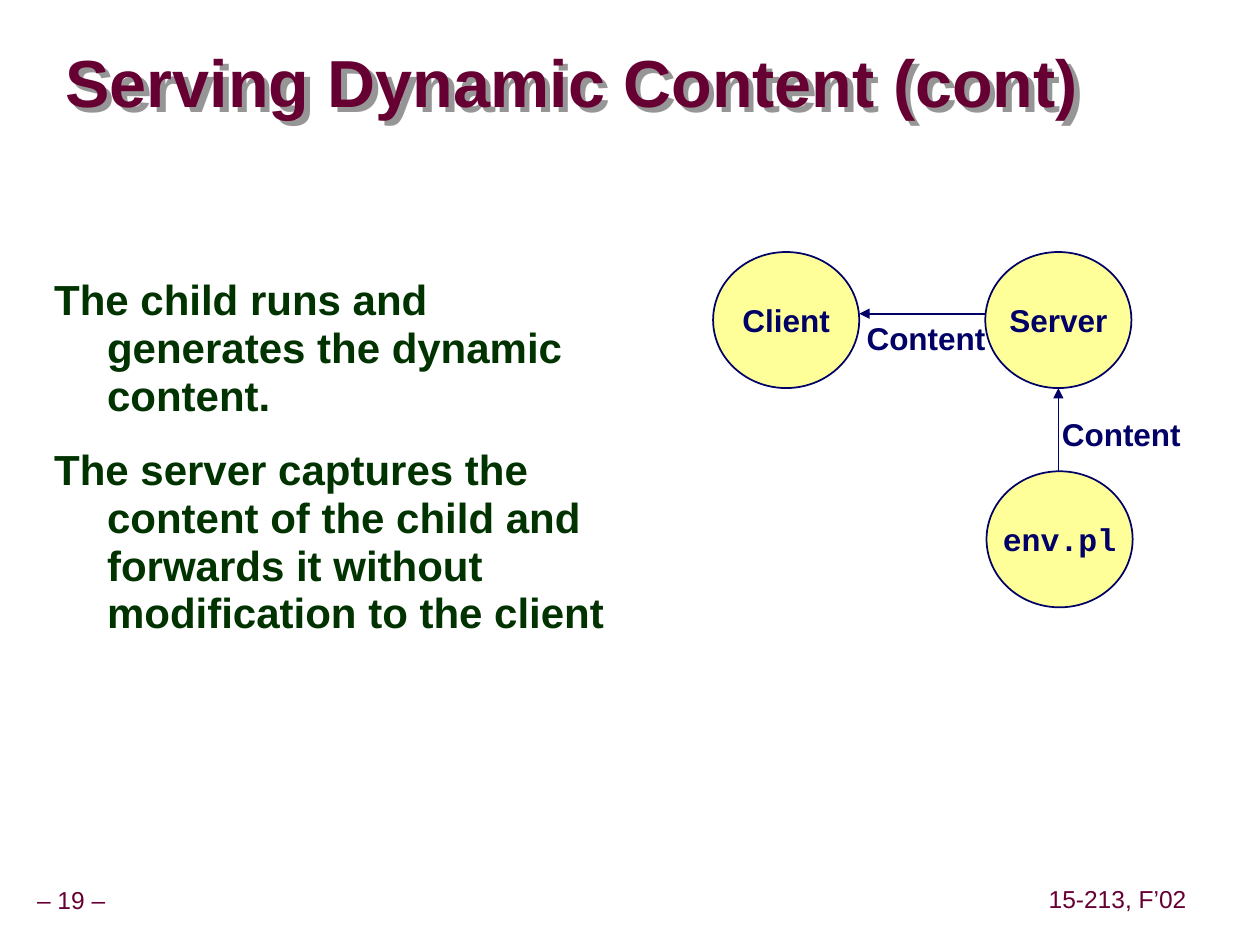
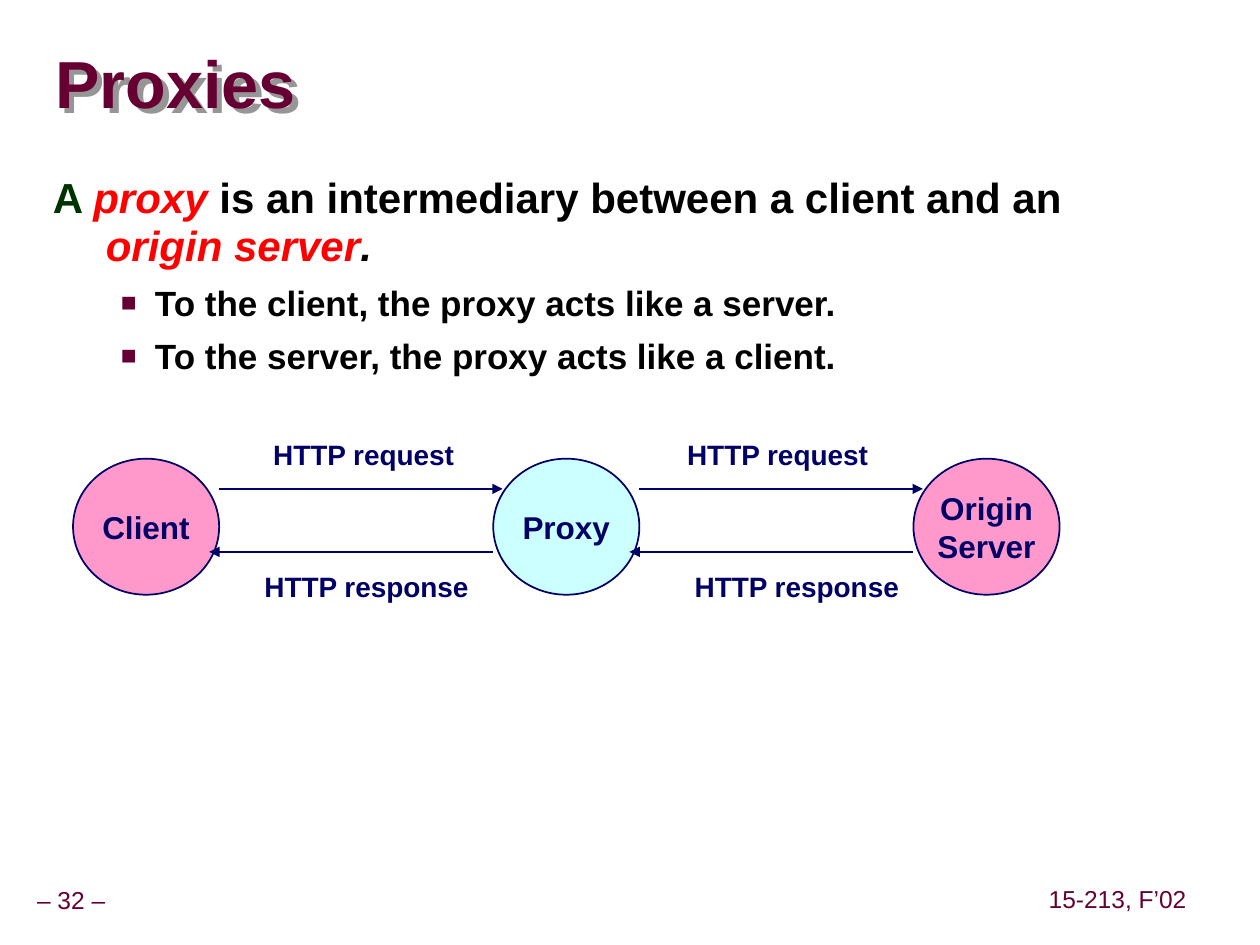
import dataclasses
import pptx
import pptx.dml.color
import pptx.enum.shapes
import pptx.enum.text
import pptx.oxml
import pptx.util

Inches = pptx.util.Inches
Pt = pptx.util.Pt
Align = pptx.enum.text.PP_ALIGN
Anchor = pptx.enum.text.MSO_ANCHOR
Fit = pptx.enum.text.MSO_AUTO_SIZE
NS = 'xmlns:a="http://schemas.openxmlformats.org/drawingml/2006/main"'


@dataclasses.dataclass(frozen=True)
class Theme:
    font: str = "Arial"
    mono: str = "Courier New"
    wine: str = "660033"
    green: str = "003300"
    navy: str = "000066"
    red: str = "FF0000"
    black: str = "000000"
    gray: str = "969696"
    yellow: str = "FFFF99"
    pink: str = "FF99CC"
    cyan: str = "CCFFFF"
    title: int = 38
    body: int = 24
    sub: int = 20
    node: int = 18
    label: int = 16
    foot: int = 14


@dataclasses.dataclass(frozen=True)
class Box:
    x: float
    y: float
    w: float
    h: float

    def inner(self, x, y, w, h):
        return Box(self.x + x, self.y + y, w, h)

    def emu(self):
        return [Inches(v) for v in (self.x, self.y, self.w, self.h)]


T = Theme()
NODE_W, NODE_H = 1.16, 1.08


# Text helpers
def rgb(code):
    return pptx.dml.color.RGBColor.from_string(code)


def style(run, size, color, bold=True, italic=False, face=T.font):
    font = run.font
    font.size, font.bold, font.italic = Pt(size), bold, italic
    font.color.rgb = rgb(color)
    font.name = face


def paint(frame, size, color, bold=True, align=None, space=None, face=T.font):
    for para in frame.paragraphs:
        para.alignment = align
        para.line_spacing = space
        for run in para.runs:
            style(run, size, color, bold, face=face)


def inset(frame, x, y):
    frame.margin_left = frame.margin_right = Inches(x)
    frame.margin_top = frame.margin_bottom = Inches(y)


def place(shape, box):
    shape.left, shape.top, shape.width, shape.height = box.emu()


def label(slide, text, box, size, color=T.navy, bold=True,
          align=Align.CENTER, space=None, pad=0.1):
    frame = slide.shapes.add_textbox(*box.emu()).text_frame
    frame.text = text
    frame.word_wrap = False
    frame.auto_size = Fit.SHAPE_TO_FIT_TEXT
    frame.vertical_anchor = Anchor.MIDDLE
    inset(frame, pad, 0.05)
    paint(frame, size, color, bold, align, space)


# Diagram helpers
def node(slide, text, box, fill, face=T.font):
    oval = slide.shapes.add_shape(
        pptx.enum.shapes.MSO_SHAPE.OVAL, *box.emu())
    oval.shadow.inherit = False
    oval.fill.solid()
    oval.fill.fore_color.rgb = rgb(fill)
    oval.line.color.rgb = rgb(T.navy)
    oval.line.width = Pt(1)
    frame = oval.text_frame
    frame.text = text
    frame.word_wrap = False
    frame.vertical_anchor = Anchor.MIDDLE
    paint(frame, T.node, T.navy, align=Align.CENTER, face=face)


def arrow(slide, *ends):
    line = slide.shapes.add_connector(
        pptx.enum.shapes.MSO_CONNECTOR.STRAIGHT, *[Inches(v) for v in ends])
    line.line.color.rgb = rgb(T.navy)
    line.line.width = Pt(1)
    line.line._get_or_add_ln().append(
        pptx.oxml.parse_xml(f'<a:tailEnd {NS} type="triangle"/>'))
    line._element.spPr.append(pptx.oxml.parse_xml(f'<a:effectLst {NS}/>'))


# Shared slide frame
def start(deck, title, box, page, pad):
    slide = deck.slides.add_slide(deck.slide_layouts[1])
    for text, foot in ((f"– {page} –", Box(-0.09, 7, 1.31, 0.31)),
                       ("15-213, F’02", Box(8.27, 6.99, 1.2, 0.31))):
        label(slide, text, foot, T.foot, T.wine, False, space=0.9, pad=0.05)
    head = slide.shapes.title
    place(head, box)
    frame = head.text_frame
    frame.text = title
    frame.auto_size = Fit.NONE
    frame.vertical_anchor = Anchor.MIDDLE
    inset(frame, pad, 0)
    paint(frame, T.title, T.wine, align=Align.LEFT, space=0.87)
    # The shadow of an unfilled shape falls from its text
    head.fill.background()
    head._element.spPr.append(pptx.oxml.parse_xml(
        f'<a:effectLst {NS}><a:outerShdw dist="{Inches(0.06)}" dir="2700000">'
        f'<a:srgbClr val="{T.gray}"/></a:outerShdw></a:effectLst>'))
    return slide


# Body list: each item is a level and its (text, color, italic) parts
def body(slide, box, items):
    holder = slide.placeholders[1]
    place(holder, box)
    frame = holder.text_frame
    frame.auto_size = Fit.NONE
    frame.vertical_anchor = Anchor.TOP
    inset(frame, 0.1, 0.05)
    for i, (level, parts) in enumerate(items):
        para = frame.add_paragraph() if i else frame.paragraphs[0]
        para.level = level
        para.alignment = Align.LEFT
        para.line_spacing = 1.0 if level else 0.95
        para.space_before = Pt(6.2 if level else 15)
        para.space_after = Pt(0)
        for text, color, italic in parts:
            run = para.add_run()
            run.text = text
            style(run, T.sub if level else T.body, color, italic=italic)
        bullet(para, level)


def bullet(para, level):
    props = para._p.get_or_add_pPr()
    left, hang = (0.81, 0.27) if level else (0.42, 0.42)
    props.set("marL", str(Inches(left)))
    props.set("indent", str(-Inches(hang)))
    marks = (f'<a:buClr {NS}><a:srgbClr val="{T.wine}"/></a:buClr>',
             f'<a:buSzPct {NS} val="75000"/>',
             f'<a:buFont {NS} typeface="{T.font}"/>',
             f'<a:buChar {NS} char="■"/>') if level else (f'<a:buNone {NS}/>',)
    for mark in marks:
        props.append(pptx.oxml.parse_xml(mark))


# Content flowing from the child through the server to the client
def flow(slide, box):
    step, drop = 2.16, 1.74
    mid = box.x + step + NODE_W / 2
    for text, x, y, face in (("Client", 0, 0, T.font),
                             ("Server", step, 0, T.font),
                             ("env.pl", step + 0.01, drop, T.mono)):
        node(slide, text, box.inner(x, y, NODE_W, NODE_H), T.yellow, face)
    arrow(slide, mid, box.y + drop, mid, box.y + NODE_H)
    arrow(slide, box.x + step, box.y + 0.49, box.x + NODE_W, box.y + 0.49)
    for x, y in ((2.59, 1.24), (1.04, 0.48)):
        label(slide, "Content", box.inner(x, y, 1.3, 0.4), T.node)


# Request and response between two neighbouring nodes
def hop(slide, box, ask, reply):
    arrow(slide, box.x, box.y + 0.24, box.x + 2.25, box.y + 0.24)
    arrow(slide, box.x + 2.17, box.y + 0.74, box.x - 0.08, box.y + 0.74)
    for text, x, y, w in (("HTTP request", ask, -0.22, 1.64),
                          ("HTTP response", reply, 0.83, 1.82)):
        label(slide, text, box.inner(x, y, w, 0.37), T.label,
              align=Align.LEFT)


# Client, proxy and origin server in a row
def chain(slide, box):
    step = (box.w - NODE_W) / 2
    names = (("Client", T.pink), ("Proxy", T.cyan),
             ("Origin\nServer", T.pink))
    for i, (text, fill) in enumerate(names):
        node(slide, text, box.inner(i * step, 0, NODE_W, NODE_H), fill)
    for i, (ask, reply) in enumerate(((0.33, 0.26), (0.28, 0.34))):
        hop(slide, box.inner(i * step + NODE_W, 0, step - NODE_W, NODE_H),
            ask, reply)


def dynamic(deck):
    slide = start(deck, "Serving Dynamic Content (cont)",
                  Box(0.42, 0.37, 9, 0.63), 19, 0.1)
    lines = ("The child runs and generates the dynamic content.",
             "The server captures the content of the child and forwards it "
             "without modification to the client")
    body(slide, Box(0.33, 2.15, 4.69, 4.87),
         [(0, [(line, T.green, False)]) for line in lines])
    flow(slide, Box(5.66, 2, 3.33, 2.82))


def proxies(deck):
    slide = start(deck, "Proxies", Box(0.44, 0.27, 9.53, 0.85), 32, 0)
    lead = [("A ", T.green, False), ("proxy ", T.red, True),
            ("is an intermediary between a client and an ", T.black, False),
            ("origin server", T.red, True), (".", T.black, True)]
    subs = ("To the client, the proxy acts like a server.",
            "To the server, the proxy acts like a client.")
    body(slide, Box(0.32, 1.34, 9.09, 4.33),
         [(0, lead)] + [(1, [(sub, T.black, False)]) for sub in subs])
    chain(slide, Box(0.58, 3.64, 7.83, NODE_H))


def main():
    deck = pptx.Presentation()
    deck.slide_width, deck.slide_height = Inches(10), Inches(7.5)
    dynamic(deck)
    proxies(deck)
    deck.save("out.pptx")


if __name__ == "__main__":
    main()
